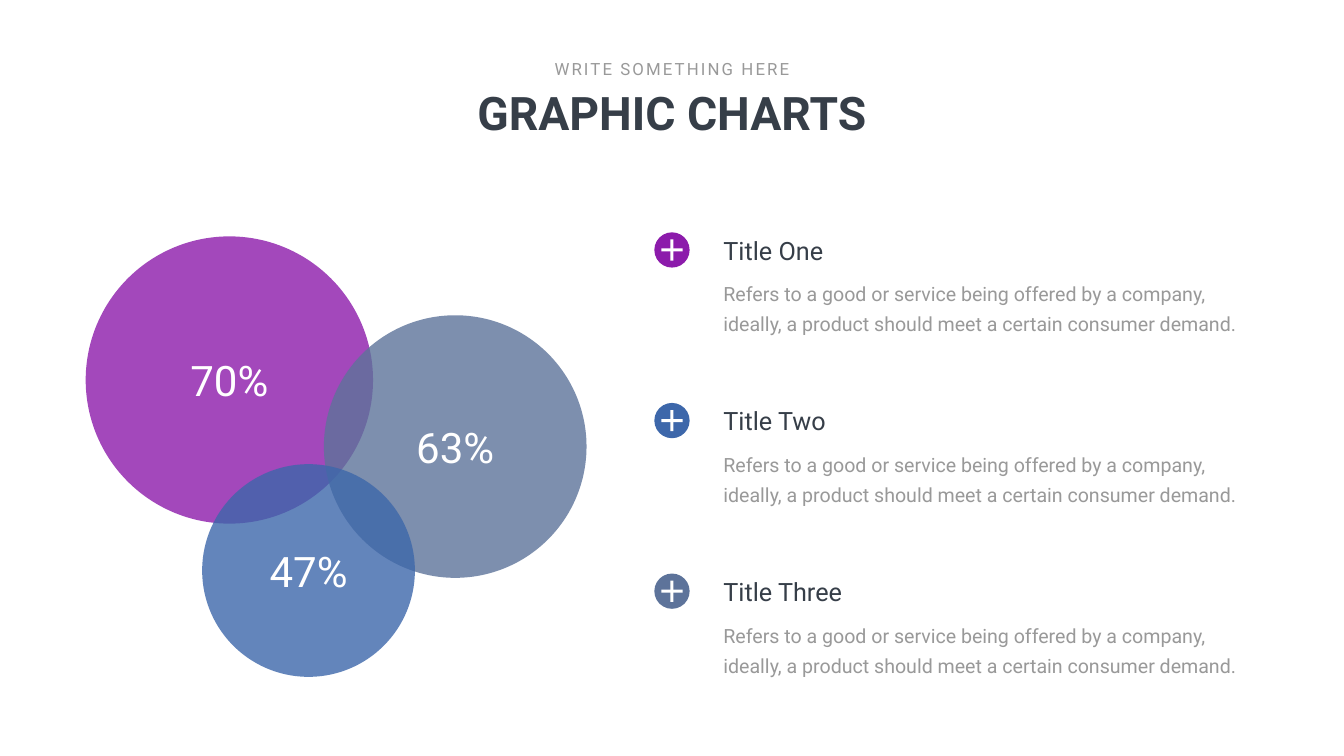
"""Build a slide with three overlapping percentage circles and a titled list."""
from lxml import etree
from pptx import Presentation
from pptx.dml.color import RGBColor
from pptx.enum.shapes import MSO_SHAPE
from pptx.enum.text import PP_ALIGN
from pptx.oxml.ns import qn
from pptx.util import Inches, Pt

OVAL, BAR = MSO_SHAPE.OVAL, MSO_SHAPE.RECTANGLE
LEFT, CENTER = PP_ALIGN.LEFT, PP_ALIGN.CENTER
PURPLE, BLUE, SLATE = "8C1BAB", "3D67AA", "5D739A"
DARK, GREY, WHITE = "363E48", "999999", "FFFFFF"
COLUMNS, ROWS = 26.66, 15
CELL = Inches(1)
BODY = ("Refers to a good or service being offered by a company, "
        "ideally, a product should meet a certain consumer demand.")


def add_text(box, text, size, color, align=LEFT, wrap=True):
    shape = slide.shapes.add_textbox(*(int(CELL * value) for value in box))
    frame = shape.text_frame
    frame.text = text
    frame.word_wrap = wrap
    frame.margin_left = frame.margin_right = int(CELL * 0.06)
    frame.margin_top = frame.margin_bottom = int(CELL * 0.06)
    paragraph = frame.paragraphs[0]
    paragraph.alignment = align
    font = paragraph.runs[0].font
    font.name = "Roboto"
    font.size = Pt(size)
    font.color.rgb = RGBColor.from_string(color)
    return paragraph


def add_filled(shapes, preset, center_x, center_y, width, height, color):
    box = (center_x - width / 2, center_y - height / 2, width, height)
    shape = shapes.add_shape(preset, *(int(CELL * value) for value in box))
    shape.shadow.inherit = False
    shape.fill.solid()
    shape.fill.fore_color.rgb = RGBColor.from_string(color)
    shape.line.fill.background()
    return shape


presentation = Presentation()
presentation.slide_width = int(CELL * COLUMNS)
presentation.slide_height = CELL * ROWS
slide = presentation.slides.add_slide(presentation.slide_layouts[6])

heading = add_text((7.61, 1.61, 11.44, 1.21), "GRAPHIC CHARTS", 66, DARK, CENTER)
heading.runs[0].font.bold = True
kicker = add_text((COLUMNS / 2 - 2.5, 1.1, 5, 0.5), "WRITE SOMETHING HERE", 24, GREY, CENTER, False)
kicker.runs[0].font._element.set("spc", "300")

circles = [
    ("70%", 4.55, 7.54, 5.7, PURPLE),
    ("63%", 9.03, 8.86, 5.21, SLATE),
    ("47%", 6.12, 11.32, 4.22, BLUE),
]
for label, center_x, center_y, diameter, color in circles:
    circle = add_filled(slide.shapes, OVAL, center_x, center_y, diameter, diameter, color)
    fill_color = circle.fill._xPr.find(qn("a:solidFill"))[0]
    etree.SubElement(fill_color, qn("a:alpha")).set("val", "80000")
for label, center_x, center_y, diameter, color in circles:
    add_text((center_x - 0.88, center_y - 0.56, 1.76, 1.11), label, 60, WHITE, CENTER, False)

items = [("Title One", PURPLE), ("Title Two", BLUE), ("Title Three", SLATE)]
for index, (title, color) in enumerate(items):
    top = 4.6 + index * 3.385
    body = add_text((14.29, top + 0.81, 10.68, 1.25), BODY, 28, GREY)
    body.line_spacing = Pt(43)
    add_text((14.29, top, 4.19, 0.71), title, 36, DARK)
    icon = slide.shapes.add_group_shape()
    add_filled(icon.shapes, OVAL, 13.33, top + 0.36, 0.7, 0.7, color)
    for rotation in (0, 90):
        bar = add_filled(icon.shapes, BAR, 13.33, top + 0.36, 0.06, 0.42, WHITE)
        bar.rotation = rotation

presentation.save("out.pptx")
